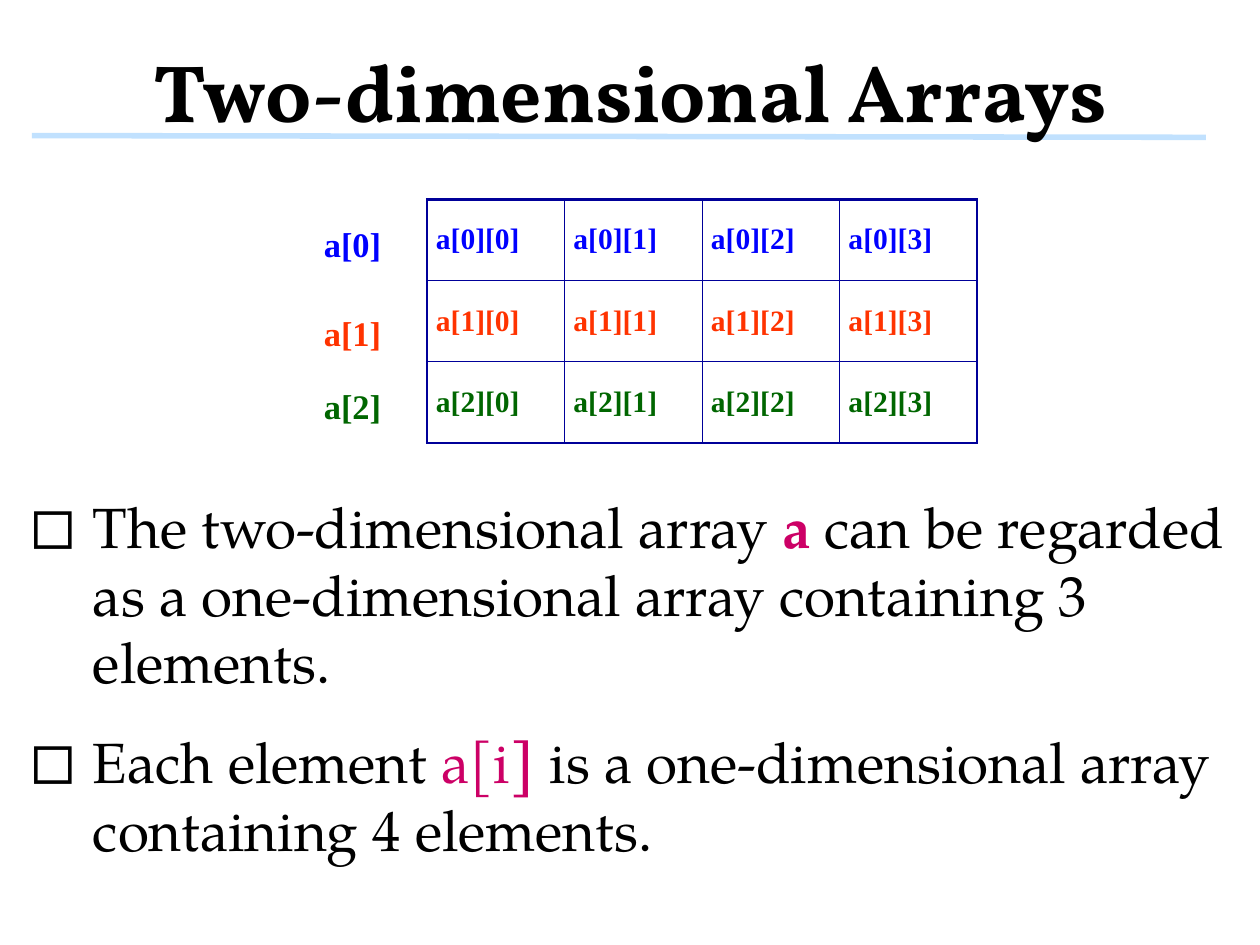
from pptx import Presentation
from pptx.dml.color import RGBColor
from pptx.enum.shapes import MSO_CONNECTOR as Connector
from pptx.enum.text import MSO_ANCHOR as Anchor, MSO_AUTO_SIZE as AutoSize, PP_ALIGN as Align
from pptx.oxml import parse_xml
from pptx.oxml.ns import nsdecls
from pptx.util import Pt

BLACK = RGBColor(0x00, 0x00, 0x00)
MAGENTA = RGBColor(0xCC, 0x00, 0x66)
PALE_BLUE = RGBColor(0xC1, 0xE1, 0xFE)
NAVY = RGBColor(0x00, 0x00, 0x99)
BLUE = RGBColor(0x00, 0x00, 0xFF)
ORANGE = RGBColor(0xFF, 0x33, 0x00)
GREEN = RGBColor(0x00, 0x66, 0x00)

ROWS = [(BLUE, 177.84), (ORANGE, 249.84), (GREEN, 309.6)]
COLUMN_COUNT = 4
COLUMN_WIDTH, ROW_HEIGHT = 111.78, 66
THICK, THIN = 2.25, 1

BULLETS = [
    [("The two-dimensional array", BLACK, False),
     (" a", MAGENTA, True),
     (" can be regarded as a one-dimensional array containing 3 elements.", BLACK, False)],
    [("Each element ", BLACK, False),
     ("a[i", MAGENTA, False),
     ("]", MAGENTA, True),
     (" is a one-dimensional array containing 4 elements.", BLACK, False)],
]


def style_font(font, name, size, color, bold):
    font.name = name
    font.size = Pt(size)
    font.color.rgb = color
    font.bold = bold


def place(shape, left, top, width, height):
    shape.left, shape.top = Pt(left), Pt(top)
    shape.width, shape.height = Pt(width), Pt(height)


def format_frame(frame, inset):
    frame.auto_size = AutoSize.NONE
    frame.word_wrap = True
    frame.vertical_anchor = Anchor.MIDDLE
    frame.margin_left = frame.margin_right = Pt(inset)
    frame.margin_top = frame.margin_bottom = Pt(inset)


def add_rule(page):
    rule = page.shapes.add_connector(
        Connector.STRAIGHT, Pt(25.92), Pt(110.2), Pt(979.92), Pt(111.6))
    rule.line.color.rgb = PALE_BLUE
    rule.line.width = Pt(4.5)
    rule.element.spPr.append(parse_xml(f"<a:effectLst {nsdecls('a')}/>"))
    page.shapes.element.insert(2, rule.element)


def fill_title(title, text):
    place(title, 0.72, 4.32, 1023, 120.24)
    format_frame(title.text_frame, 0)
    para = title.text_frame.paragraphs[0]
    para.text = text
    para.alignment = Align.CENTER
    para.line_spacing = Pt(96)
    para.space_before = Pt(0)
    style_font(para.runs[0].font, "Vollkorn", 66, BLACK, True)


def add_bullet(para):
    properties = para._p.get_or_add_pPr()
    properties.set("marL", str(Pt(70.56)))
    properties.set("indent", str(Pt(-50.4)))
    for tag in ('buSzPct val="130000"', 'buChar char="◻"'):
        properties.append(parse_xml(f"<a:{tag} {nsdecls('a')}/>"))


def fill_body(body, bullets):
    place(body, 0.72, 380.88, 1023, 339.12)
    frame = body.text_frame
    format_frame(frame, 4.32)
    for index, pieces in enumerate(bullets):
        para = frame.add_paragraph() if index else frame.paragraphs[0]
        add_bullet(para)
        para.alignment = Align.LEFT
        para.line_spacing = Pt(55)
        para.space_before = Pt(26 if index else 0)
        for text, color, bold in pieces:
            span = para.add_run()
            span.text = text
            style_font(span.font, "TeX Gyre Pagella", 46, color, bold)


def set_borders(cell, widths):
    properties = cell._tc.get_or_add_tcPr()
    for index, (side, width) in enumerate(widths.items()):
        properties.insert(index, parse_xml(
            f'<a:ln{side} {nsdecls("a")} w="{Pt(width)}"><a:solidFill>'
            f'<a:srgbClr val="{NAVY}"/></a:solidFill></a:ln{side}>'))


def fill_cell(cell, text, color):
    cell.fill.background()
    cell.vertical_anchor = Anchor.MIDDLE
    para = cell.text_frame.paragraphs[0]
    para.text = text
    style_font(para.runs[0].font, "Times New Roman", 24, color, True)


def add_array_table(page):
    last_row, last_column = len(ROWS) - 1, COLUMN_COUNT - 1
    table = page.shapes.add_table(
        len(ROWS), COLUMN_COUNT, Pt(347.04), Pt(162),
        Pt(COLUMN_COUNT * COLUMN_WIDTH), Pt(len(ROWS) * ROW_HEIGHT)).table
    table.first_row = table.horz_banding = False
    for column in table.columns:
        column.width = Pt(COLUMN_WIDTH)
    for i, (color, _) in enumerate(ROWS):
        table.rows[i].height = Pt(ROW_HEIGHT)
        for j in range(COLUMN_COUNT):
            cell = table.cell(i, j)
            fill_cell(cell, f"a[{i}][{j}]", color)
            set_borders(cell, {
                "L": THICK if j == 0 else THIN,
                "R": THICK if j == last_column else THIN,
                "T": THICK if i == 0 else THIN,
                "B": THICK if i == last_row else THIN})


def add_row_label(page, text, color, top):
    box = page.shapes.add_textbox(Pt(246.24), Pt(top), Pt(70.56), Pt(38.16))
    box.text_frame.word_wrap = True
    para = box.text_frame.paragraphs[0]
    para.text = text
    para.alignment = Align.RIGHT
    style_font(para.runs[0].font, "Times New Roman", 28, color, True)


def main():
    deck = Presentation()
    deck.slide_width, deck.slide_height = Pt(1024), Pt(768)
    page = deck.slides.add_slide(deck.slide_layouts[1])
    add_rule(page)
    fill_title(page.shapes.title, "Two-dimensional Arrays")
    fill_body(page.placeholders[1], BULLETS)
    add_array_table(page)
    for i, (color, top) in enumerate(ROWS):
        add_row_label(page, f"a[{i}]", color, top)
    deck.save("out.pptx")


if __name__ == "__main__":
    main()
